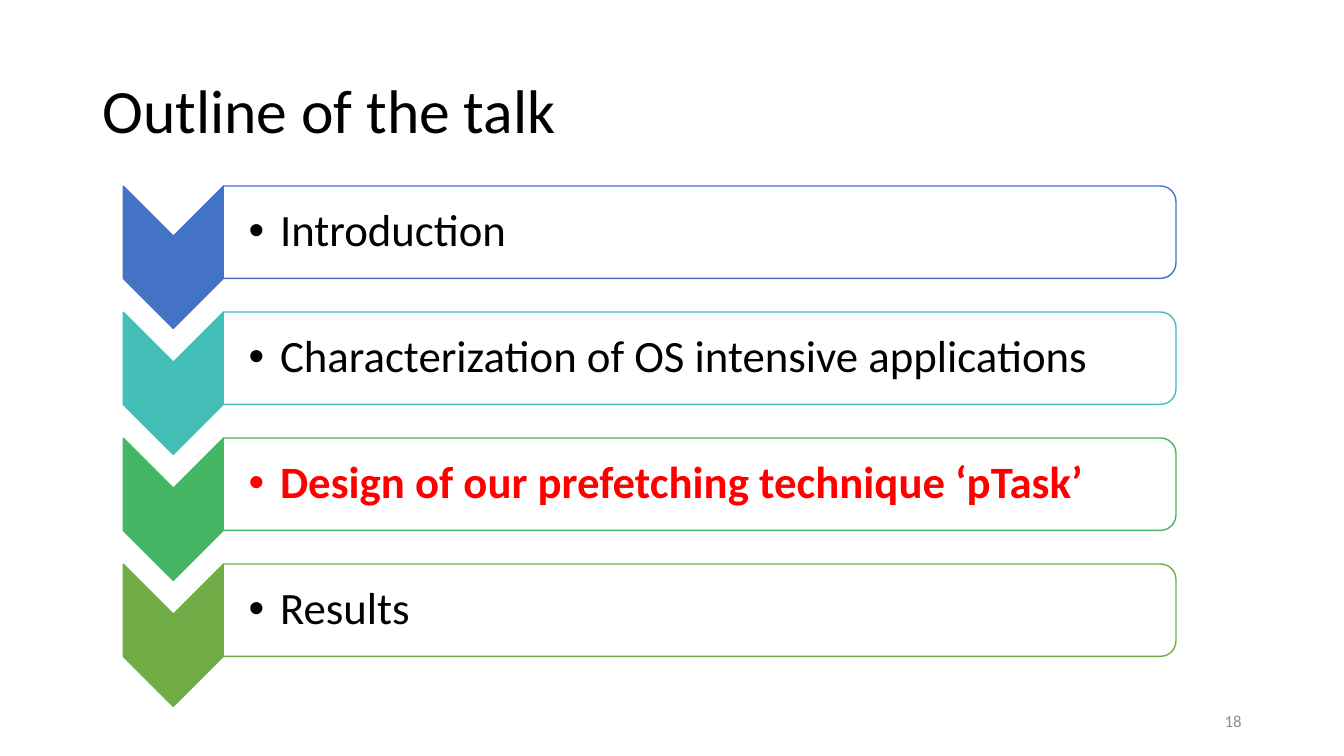
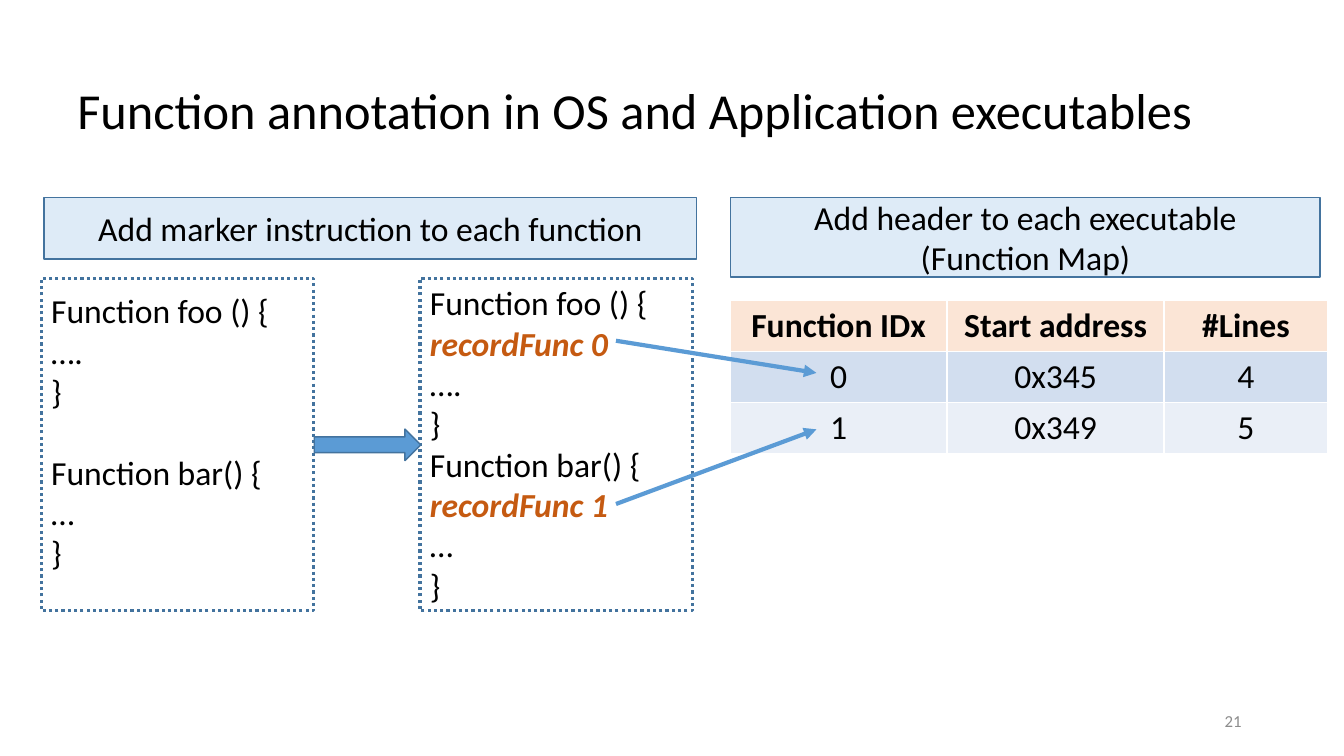
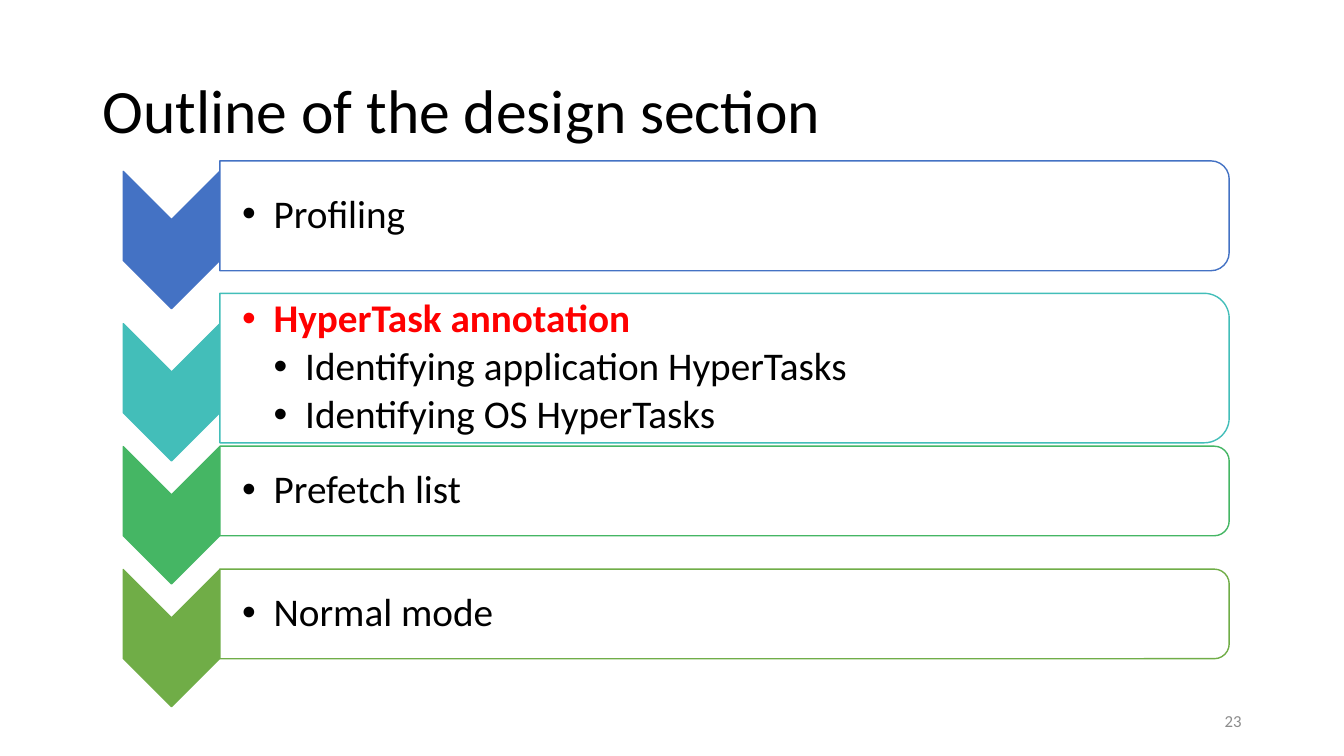
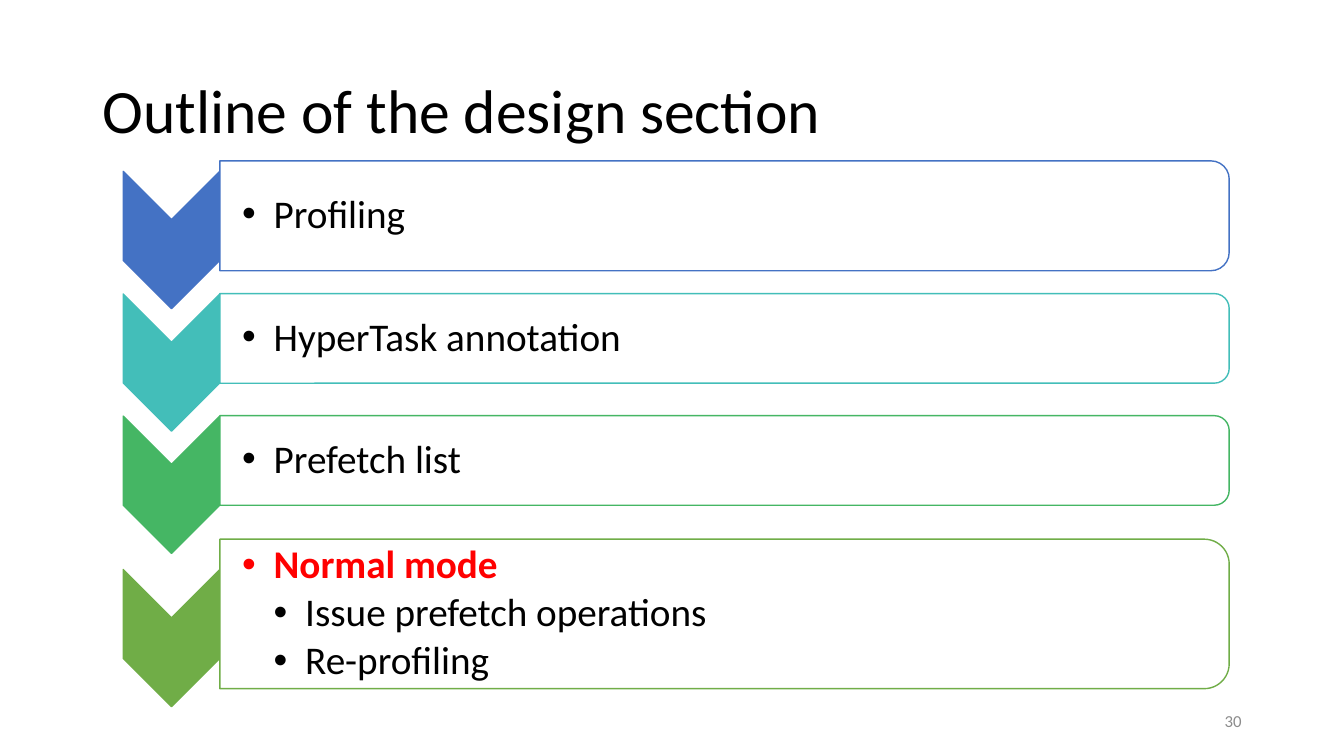
from pptx import Presentation
from pptx.dml.color import RGBColor
from pptx.enum.dml import MSO_LINE
from pptx.enum.shapes import MSO_CONNECTOR, MSO_SHAPE
from pptx.enum.text import MSO_ANCHOR, MSO_AUTO_SIZE, PP_ALIGN
from pptx.oxml.ns import qn
from pptx.util import Pt
from lxml import etree

# Enum members
LEFT, CENTER, RIGHT = PP_ALIGN.LEFT, PP_ALIGN.CENTER, PP_ALIGN.RIGHT
TOP, MIDDLE = MSO_ANCHOR.TOP, MSO_ANCHOR.MIDDLE
RECTANGLE, RIGHT_ARROW = MSO_SHAPE.RECTANGLE, MSO_SHAPE.RIGHT_ARROW
CHEVRON, ROUNDED_TOP = MSO_SHAPE.CHEVRON, MSO_SHAPE.ROUND_2_SAME_RECTANGLE
DOTTED = MSO_LINE.ROUND_DOT

# Shared style
FONT = "Calibri"
BLACK, WHITE, RED, GRAY = "000000", "FFFFFF", "FF0000", "8C8C8C"
BLUE, DARK_BLUE, PALE_BLUE, ORANGE = "5B9BD5", "43739E", "DEEBF7", "C55A11"
STEP_COLORS = ["4472C4", "43BEB9", "45B664", "70AD47"]
TABLE_FILLS = ["FBE5D6", "D2DEEF", "EAEFF7"]
CODE_SIZE = 24
TITLE_TOP, TITLE_WIDTH, TITLE_HEIGHT = 28.8, 828, 104.4
STEP_LEFT = 88
BULLET_INDENT = 22.5


def rgb(hex_color):
    return RGBColor.from_string(hex_color)


# Text
def add_run(paragraph, text, size, color=BLACK, bold=False, italic=False):
    run = paragraph.add_run()
    run.text = text
    font = run.font
    font.name, font.size = FONT, Pt(size)
    font.bold, font.italic = bold, italic
    font.color.rgb = rgb(color)


def set_frame(frame, anchor, insets=(7.2, 3.6, 7.2, 3.6), wrap=True):
    frame.word_wrap = wrap
    frame.auto_size = MSO_AUTO_SIZE.NONE
    frame.vertical_anchor = anchor
    frame.margin_left, frame.margin_top, frame.margin_right, frame.margin_bottom = map(Pt, insets)


def next_paragraph(frame, index):
    return frame.paragraphs[0] if index == 0 else frame.add_paragraph()


def add_bullet(paragraph, level):
    properties = paragraph._p.get_or_add_pPr()
    properties.set("marL", str(Pt(BULLET_INDENT * level)))
    properties.set("indent", str(-Pt(BULLET_INDENT)))
    etree.SubElement(properties, qn("a:buFont")).set("typeface", "Arial")
    etree.SubElement(properties, qn("a:buChar")).set("char", "•")


# Shapes
def add_shape(slide, kind, left, top, width, height, fill, line, line_width=1):
    shape = slide.shapes.add_shape(kind, Pt(left), Pt(top), Pt(width), Pt(height))
    shape.shadow.inherit = False
    if fill:
        shape.fill.solid()
        shape.fill.fore_color.rgb = rgb(fill)
    else:
        shape.fill.background()
    shape.line.color.rgb = rgb(line)
    shape.line.width = Pt(line_width)
    return shape


def add_turned_shape(slide, kind, left, top, width, height, fill, line):
    """Place a shape turned a quarter, given the box it covers after turning."""
    shift = (width - height) / 2
    shape = add_shape(slide, kind, left + shift, top - shift, height, width, fill, line)
    shape.rotation = 90


def add_arrow(slide, start, end):
    connector = slide.shapes.add_connector(MSO_CONNECTOR.STRAIGHT, *map(Pt, start + end))
    connector.line.color.rgb = rgb(BLUE)
    connector.line.width = Pt(3)
    line = connector.line._get_or_add_ln()
    etree.SubElement(line, qn("a:tailEnd")).set("type", "triangle")
    etree.SubElement(connector._element.spPr, qn("a:effectLst"))


# Slide with title and number
def add_slide(presentation, title, number, title_left=66, title_size=44):
    slide = presentation.slides.add_slide(presentation.slide_layouts[5])
    placeholder = slide.shapes.title
    placeholder.left, placeholder.top = Pt(title_left), Pt(TITLE_TOP)
    placeholder.width, placeholder.height = Pt(TITLE_WIDTH), Pt(TITLE_HEIGHT)
    set_frame(placeholder.text_frame, MIDDLE)
    paragraph = placeholder.text_frame.paragraphs[0]
    paragraph.alignment, paragraph.line_spacing = LEFT, 0.9
    add_run(paragraph, title, title_size)

    box = slide.shapes.add_textbox(Pt(678), Pt(500.4), Pt(216), Pt(28.8))
    set_frame(box.text_frame, MIDDLE)
    paragraph = box.text_frame.paragraphs[0]
    paragraph.alignment = RIGHT
    add_run(paragraph, number, 12, GRAY)
    return slide


# Outline: a chevron and a bulleted panel per step
def add_outline(slide, steps, chevron_size, panel_left, panel_width, size, inset):
    """Each step is (chevron top, panel height, texts, highlighted)."""
    chevron_width, chevron_height = chevron_size
    for color, (top, height, texts, highlighted) in zip(STEP_COLORS, steps):
        panel_top = top + 0.46 * chevron_width - height / 2
        add_turned_shape(slide, CHEVRON, STEP_LEFT, top, chevron_width, chevron_height, color, color)
        add_turned_shape(slide, ROUNDED_TOP, panel_left, panel_top, panel_width, height, WHITE, color)
        box = slide.shapes.add_textbox(Pt(panel_left), Pt(panel_top), Pt(panel_width), Pt(height))
        set_frame(box.text_frame, MIDDLE, (inset, 1.5, 1.5, 1.5))
        for index, text in enumerate(texts):
            paragraph = next_paragraph(box.text_frame, index)
            add_bullet(paragraph, 1 if index == 0 else 2)
            paragraph.line_spacing, paragraph.space_after = 0.9, Pt(4)
            strong = highlighted and index == 0
            add_run(paragraph, text, size, RED if strong else BLACK, bold=strong)


def add_talk_outline(presentation):
    slide = add_slide(presentation, "Outline of the talk", "18")
    topics = ["Introduction", "Characterization of OS intensive applications",
              "Design of our prefetching technique ‘pTask’", "Results"]
    steps = [(133 + 90 * index, 66, [topic], index == 2) for index, topic in enumerate(topics)]
    add_outline(slide, steps, (71.5, 101.5), 159.5, 680.5, 32, 18)


def add_design_outline(presentation, number, steps):
    slide = add_slide(presentation, "Outline of the design section", number)
    add_outline(slide, steps, (69, 98), 157, 721, 28, 16)


# Function annotation
def add_heading(slide, left, width, height, lines):
    shape = add_shape(slide, RECTANGLE, left, 141, width, height, PALE_BLUE, DARK_BLUE)
    set_frame(shape.text_frame, MIDDLE, (7.2, 0, 7.2, 0))
    for index, text in enumerate(lines):
        paragraph = next_paragraph(shape.text_frame, index)
        paragraph.alignment = CENTER
        add_run(paragraph, text, CODE_SIZE)


def add_code(slide, left, lines, top_inset, gap_before=None):
    shape = add_shape(slide, RECTANGLE, left, 198.7, 194.5, 237.6, None, DARK_BLUE, 2.25)
    shape.line.dash_style = DOTTED
    set_frame(shape.text_frame, TOP, (7.2, top_inset, 7.2, 0), wrap=False)
    for index, text in enumerate(lines):
        paragraph = next_paragraph(shape.text_frame, index)
        paragraph.alignment = LEFT
        if index == gap_before:
            paragraph.space_before = Pt(29)
        marker = text.startswith("recordFunc")
        add_run(paragraph, text, CODE_SIZE, ORANGE if marker else BLACK, marker, marker)


def add_function_map(slide, rows):
    widths, row_height = [155, 155, 117], 36
    frame = slide.shapes.add_table(len(rows), len(widths), Pt(521.5), Pt(214.5),
                                   Pt(sum(widths)), Pt(row_height * len(rows)))
    table = frame.table
    for column, width in zip(table.columns, widths):
        column.width = Pt(width)
    for row_index, (values, fill) in enumerate(zip(rows, TABLE_FILLS)):
        for column_index, value in enumerate(values):
            cell = table.cell(row_index, column_index)
            cell.fill.solid()
            cell.fill.fore_color.rgb = rgb(fill)
            paragraph = cell.text_frame.paragraphs[0]
            paragraph.alignment = CENTER
            add_run(paragraph, value, CODE_SIZE, bold=row_index == 0)


def add_annotation_slide(presentation):
    slide = add_slide(presentation, "Function annotation in OS and Application executables",
                      "21", title_left=48, title_size=36)
    add_code(slide, 29.5, ["Function foo () {", "….", "}", "Function bar() {", "…", "}"],
             8.6, gap_before=3)
    add_code(slide, 300, ["Function foo () {", "recordFunc 0", "….", "}",
                          "Function bar() {", "recordFunc 1", "…", "}"], 3)
    add_shape(slide, RIGHT_ARROW, 224.5, 306.5, 76, 22.5, BLUE, DARK_BLUE)
    add_heading(slide, 31.5, 466, 44, ["Add marker instruction to each function"])
    add_heading(slide, 522, 421, 57, ["Add header to each executable", "(Function Map)"])
    add_function_map(slide, [["Function IDx", "Start address", "#Lines"],
                             ["0", "0x345", "4"], ["1", "0x349", "5"]])
    add_arrow(slide, (440, 243.4), (583.2, 266.4))
    add_arrow(slide, (440, 360), (583.2, 306.7))


def main():
    presentation = Presentation()
    presentation.slide_width, presentation.slide_height = Pt(960), Pt(540)
    add_talk_outline(presentation)
    add_annotation_slide(presentation)
    add_design_outline(presentation, "23", [
        (122.4, 78.5, ["Profiling"], False),
        (231.2, 106.8, ["HyperTask annotation", "Identifying application HyperTasks",
                        "Identifying OS HyperTasks"], True),
        (319, 64, ["Prefetch list"], False),
        (406.8, 64, ["Normal mode"], False),
    ])
    add_design_outline(presentation, "30", [
        (122.4, 78.5, ["Profiling"], False),
        (210, 64, ["HyperTask annotation"], False),
        (297.2, 64, ["Prefetch list"], False),
        (406.8, 106.8, ["Normal mode", "Issue prefetch operations", "Re-profiling"], True),
    ])
    presentation.save("out.pptx")


if __name__ == "__main__":
    main()
